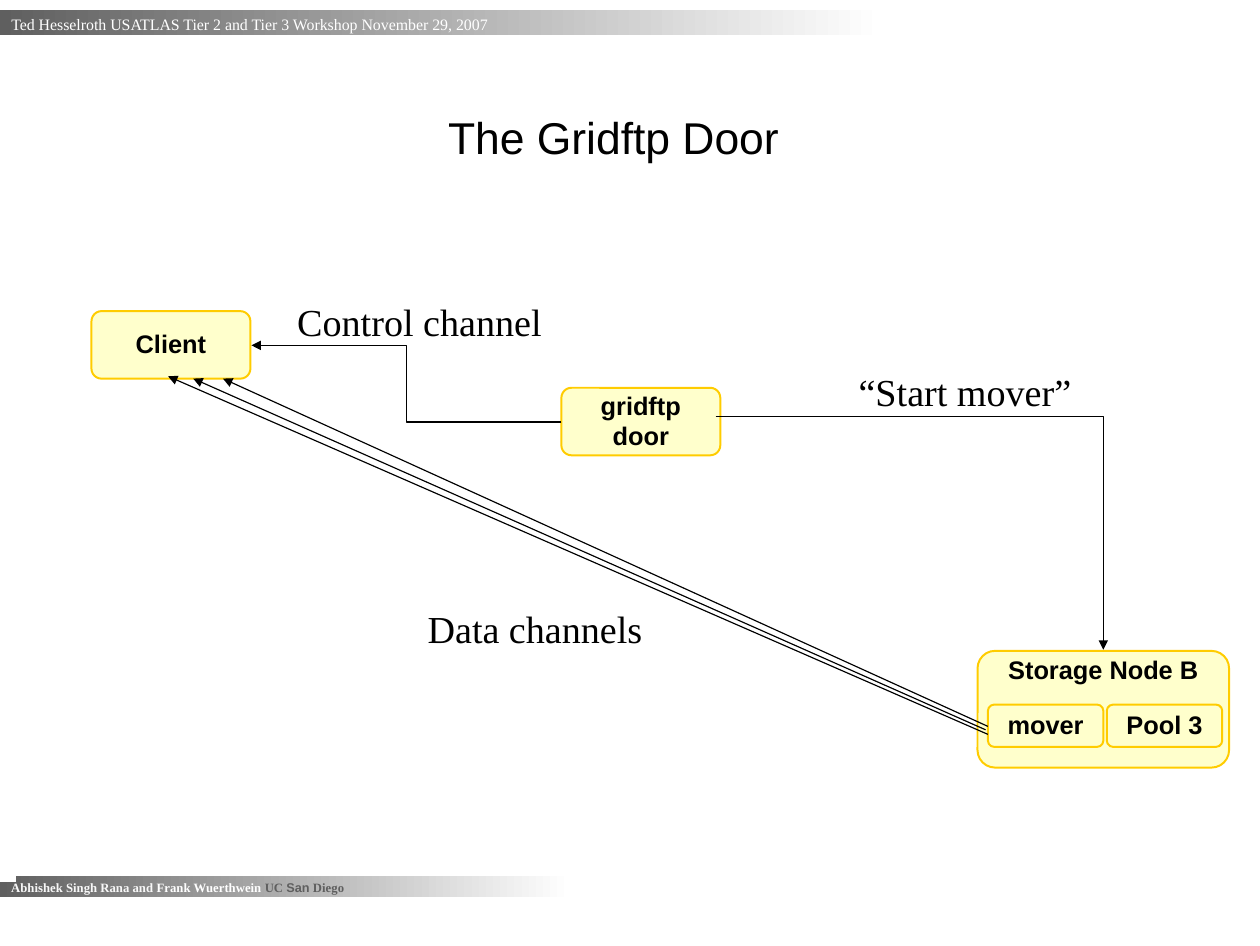
from dataclasses import dataclass

from lxml import etree
from pptx import Presentation
from pptx.dml.color import RGBColor
from pptx.enum.shapes import MSO_CONNECTOR, MSO_SHAPE
from pptx.enum.text import MSO_ANCHOR, PP_ALIGN
from pptx.oxml.ns import qn
from pptx.shapes.autoshape import Shape
from pptx.shapes.shapetree import SlideShapes
from pptx.util import Pt

EMU_PER_PX = 9144
SLIDE_SIZE = (1102, 827)
SANS, SERIF = "Arial", "Times New Roman"
BLACK = RGBColor(0x00, 0x00, 0x00)
WHITE = RGBColor(0xFF, 0xFF, 0xFF)
OFF_WHITE = RGBColor(0xF8, 0xF8, 0xF8)
GRAY = RGBColor(0x5F, 0x5F, 0x5F)
CREAM = RGBColor(0xFF, 0xFF, 0xCC)
GOLD = RGBColor(0xFF, 0xCC, 0x00)
RECTANGLE, ROUNDED = MSO_SHAPE.RECTANGLE, MSO_SHAPE.ROUNDED_RECTANGLE
STRAIGHT, ELBOW = MSO_CONNECTOR.STRAIGHT, MSO_CONNECTOR.ELBOW
TOP, MIDDLE = MSO_ANCHOR.TOP, MSO_ANCHOR.MIDDLE
LEFT, CENTER, JUSTIFY = PP_ALIGN.LEFT, PP_ALIGN.CENTER, PP_ALIGN.JUSTIFY

Box = tuple[int, int, int, int]
Point = tuple[int, int]


@dataclass(frozen=True)
class TextStyle:
    font: str
    size: int
    color: RGBColor = BLACK
    bold: bool = False
    align: PP_ALIGN = LEFT
    spacing: float = 1.16


@dataclass(frozen=True)
class Node:
    lines: tuple[str, ...]
    box: Box
    anchor: MSO_ANCHOR = MIDDLE


@dataclass(frozen=True)
class Label:
    text: str
    box: Box
    style: TextStyle
    wrap: bool = False


@dataclass(frozen=True)
class Channel:
    start: Point
    end: Point
    kind: MSO_CONNECTOR = STRAIGHT
    preset: str = "line"


@dataclass(frozen=True)
class Credit:
    text: str
    color: RGBColor
    font: str = SERIF


TITLE_STYLE = TextStyle(SANS, 28, align=CENTER, spacing=1.24)
NODE_STYLE = TextStyle(SANS, 16, bold=True, align=CENTER, spacing=0.98)
LABEL_STYLE = TextStyle(SERIF, 24)
HEADER_STYLE = TextStyle(SERIF, 10, WHITE, align=JUSTIFY)
FOOTER_STYLE = TextStyle(SERIF, 8, OFF_WHITE, bold=True)

HEADER_TEXT = "Ted Hesselroth USATLAS Tier 2 and Tier 3 Workshop November 29, 2007"
CREDITS = (
    Credit("Abhishek Singh Rana and ", OFF_WHITE),
    Credit("Frank Wuerthwein ", WHITE),
    Credit("UC ", GRAY),
    Credit("San", GRAY, SANS),
    Credit(" Diego", GRAY),
)
NODES = (
    Node(("Client",), (80, 272, 139, 59)),
    Node(("Storage Node B",), (855, 569, 220, 102), TOP),
    Node(("Pool 3",), (968, 616, 101, 37)),
    Node(("gridftp", "door"), (491, 339, 139, 59)),
    Node(("mover",), (864, 616, 101, 37)),
)
CHANNELS = (
    Channel((491, 369), (220, 302), ELBOW, "bentConnector3"),
    Channel((626, 364), (965, 568), ELBOW, "bentConnector2"),
    Channel((864, 635), (195, 331)),
    Channel((862, 638), (169, 331)),
    Channel((864, 642), (147, 329)),
)
LABELS = (
    Label("The Gridftp Door", (66, 45, 941, 138), TITLE_STYLE, True),
    Label("“Start mover”", (751, 316, 206, 46), LABEL_STYLE),
    Label("Control channel", (260, 255, 236, 46), LABEL_STYLE),
    Label("Data channels", (374, 523, 207, 46), LABEL_STYLE),
)


def emu(lengths: tuple[int, ...]) -> list[int]:
    return [length * EMU_PER_PX for length in lengths]


def write_text(shape: Shape, lines: tuple[str, ...], style: TextStyle,
               anchor: MSO_ANCHOR = MIDDLE, wrap: bool = False,
               margins: Box = (0, 0, 0, 0)) -> None:
    frame = shape.text_frame
    frame.word_wrap = wrap
    frame.vertical_anchor = anchor
    (frame.margin_left, frame.margin_top,
     frame.margin_right, frame.margin_bottom) = emu(margins)
    frame.text = "\n".join(lines)
    for paragraph in frame.paragraphs:
        paragraph.alignment = style.align
        paragraph.line_spacing = style.spacing
        paragraph.font.name = style.font
        paragraph.font.size = Pt(style.size)
        paragraph.font.bold = style.bold
        paragraph.font.color.rgb = style.color


def draw_block(shapes: SlideShapes, preset: MSO_SHAPE, box: Box) -> Shape:
    block = shapes.add_shape(preset, *emu(box))
    block.shadow.inherit = False
    block.line.fill.background()
    return block


def draw_band(shapes: SlideShapes, box: Box) -> Shape:
    band = draw_block(shapes, RECTANGLE, box)
    band.fill.gradient()
    band.fill.gradient_angle = 180
    for stop, color in zip(band.fill.gradient_stops, (WHITE, GRAY)):
        stop.color.rgb = color
    return band


def draw_footer(shapes: SlideShapes) -> None:
    footer = draw_band(shapes, (0, 766, 500, 18))
    write_text(footer, ("",), FOOTER_STYLE, wrap=True, margins=(10, 5, 10, 5))
    for credit in CREDITS:
        run = footer.text_frame.paragraphs[0].add_run()
        run.text = credit.text
        run.font.name = credit.font
        run.font.color.rgb = credit.color
    notch = draw_block(shapes, RECTANGLE, (0, 764, 14, 7))
    notch.fill.solid()
    notch.fill.fore_color.rgb = WHITE


def draw_node(shapes: SlideShapes, node: Node) -> None:
    block = draw_block(shapes, ROUNDED, node.box)
    block.adjustments[0] = 0.15
    block.fill.solid()
    block.fill.fore_color.rgb = CREAM
    block.line.color.rgb = GOLD
    block.line.width = Pt(1.25)
    write_text(block, node.lines, NODE_STYLE, node.anchor)


def draw_label(shapes: SlideShapes, label: Label) -> None:
    write_text(shapes.add_textbox(*emu(label.box)), (label.text,),
               label.style, wrap=label.wrap)


def draw_channel(shapes: SlideShapes, channel: Channel) -> None:
    connector = shapes.add_connector(
        channel.kind, *emu(channel.start + channel.end))
    connector.line.color.rgb = BLACK
    connector.line.width = Pt(0.75)
    properties = connector._element.spPr
    properties.find(qn("a:prstGeom")).set("prst", channel.preset)
    etree.SubElement(properties.find(qn("a:ln")), qn("a:tailEnd"), type="triangle")
    etree.SubElement(properties, qn("a:effectLst"))


def main() -> None:
    deck = Presentation()
    deck.slide_width, deck.slide_height = emu(SLIDE_SIZE)
    shapes = deck.slides.add_slide(deck.slide_layouts[6]).shapes
    header = draw_band(shapes, (0, 9, 772, 22))
    write_text(header, (HEADER_TEXT,), HEADER_STYLE, wrap=True, margins=(10, 0, 0, 0))
    draw_footer(shapes)
    for node in NODES:
        draw_node(shapes, node)
    for channel in CHANNELS:
        draw_channel(shapes, channel)
    for label in LABELS:
        draw_label(shapes, label)
    deck.save("out.pptx")


if __name__ == "__main__":
    main()
